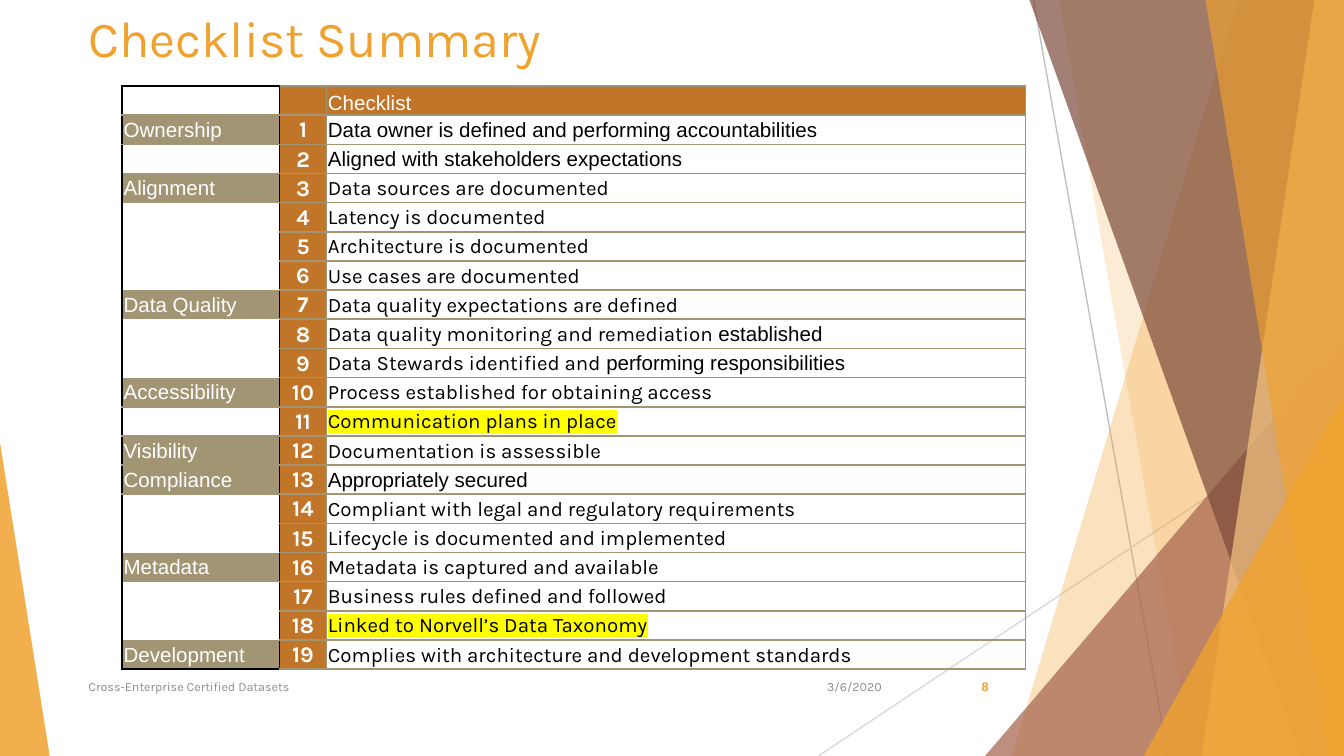
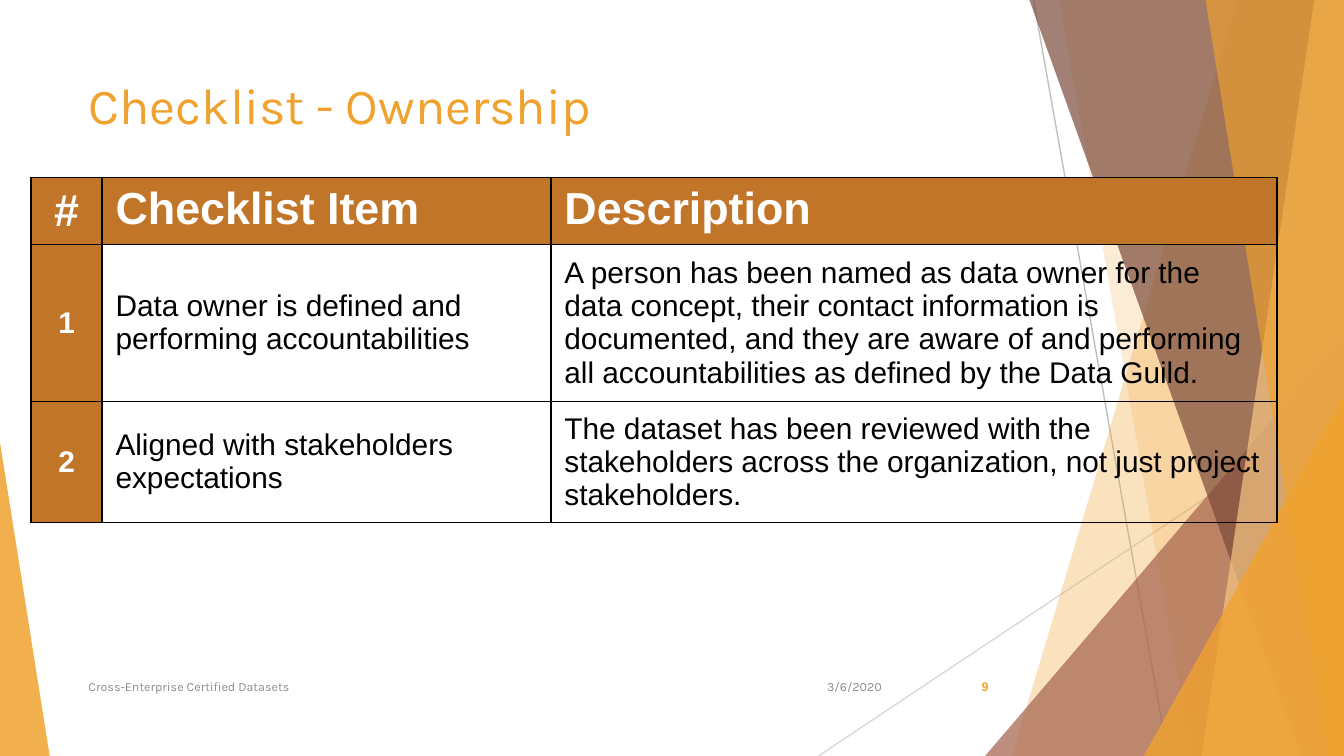
"""Build two checklist slides: the summary table and the ownership detail."""
from dataclasses import dataclass
from typing import Any, Optional

import lxml.etree
import pptx
import pptx.dml.color
import pptx.enum.shapes
import pptx.enum.text
import pptx.oxml.ns
import pptx.util

Inches = pptx.util.Inches
ALIGN = pptx.enum.text.PP_ALIGN
ANCHOR = pptx.enum.text.MSO_ANCHOR

WIDTH = 10
HEIGHT = WIDTH * 9 / 16
AMBER, SAND, RUST, BROWN = "F0A22E", "F6C782", "A5644E", "7C4B3B"
ORANGE, TAUPE, GREY = "C17529", "A19574", "8C8C8C"
BLACK, WHITE, YELLOW = "000000", "FFFFFF", "FFFF00"
HEADING, BODY = "Karla", "Arial"
NO_GRID = "{2D5ABB26-0587-4C30-8999-92F81FD0307C}"


@dataclass(frozen=True)
class Ray:
    start: tuple[float, float]
    end: tuple[float, float]
    color: str


@dataclass(frozen=True)
class Band:
    top_x: float
    bottom_x: float
    color: str
    alpha: int


@dataclass(frozen=True)
class Wedge:
    left: float
    top: float
    width: float
    apex: float
    color: str
    alpha: int


@dataclass(frozen=True)
class Check:
    item: str
    category: str = ""
    marked: bool = False


RAYS = [Ray((7.69, 0), (8.69, HEIGHT), "BFBFBF"), Ray((10, 3.02), (6.09, HEIGHT), "D9D9D9")]
FACETS = [
    Band(9.21, 7.53, AMBER, 30),
    Band(7.88, 8.87, AMBER, 20),
    Wedge(7.33, 2.5, 2.67, 1, RUST, 72),
    Band(7.66, 9.68, BROWN, 70),
    Band(9.78, 8.94, SAND, 70),
    Band(8.97, 9.88, AMBER, 65),
    Wedge(8.51, 2.94, 1.49, 1, AMBER, 80),
    Wedge(0, 3.29, 0.37, 0, AMBER, 85),
]

CHECKS = [
    Check("|Data owner is defined and performing accountabilities", "Ownership"),
    Check("|Aligned with stakeholders expectations"),
    Check("Data sources are documented", "Alignment"),
    Check("Latency is documented"),
    Check("Architecture is documented"),
    Check("Use cases are documented"),
    Check("Data quality expectations are defined", "Data Quality"),
    Check("Data quality monitoring and remediation |established"),
    Check("Data Stewards identified and |performing responsibilities"),
    Check("Process established for obtaining access", "Accessibility"),
    Check("Communication plans in place", marked=True),
    Check("Documentation is assessible", "Visibility"),
    Check("|Appropriately secured", "Compliance"),
    Check("Compliant with legal and regulatory requirements"),
    Check("Lifecycle is documented and implemented"),
    Check("Metadata is captured and available", "Metadata"),
    Check("Business rules defined and followed"),
    Check("Linked to Norvell’s Data Taxonomy", marked=True),
    Check("Complies with architecture and development standards", "Development"),
]
RULED_ROWS = {1, 11, 12, 13}

OWNERSHIP = [
    ("#", "Checklist Item", "Description"),
    ("1", "Data owner is defined and performing accountabilities",
     "A person has been named as data owner for the data concept, their contact information is "
     "documented, and they are aware of and performing all accountabilities as defined by the "
     "Data Guild."),
    ("2", "Aligned with stakeholders expectations",
     "The dataset has been reviewed with the stakeholders across the organization, not just "
     "project stakeholders."),
]


def rgb(value: str) -> pptx.dml.color.RGBColor:
    return pptx.dml.color.RGBColor.from_string(value)


def sub(parent: Any, tag: str, **attrs: str) -> Any:
    return lxml.etree.SubElement(parent, pptx.oxml.ns.qn(tag), attrs)


def write(tf: Any, text: str, *, size: float, font: str = BODY, color: str = BLACK,
          bold: bool = False, align: Any = ALIGN.LEFT, mark: Optional[str] = None) -> None:
    p = tf.paragraphs[0]
    p.alignment = align
    if not text:
        p._p.get_or_add_endParaRPr().set("sz", str(int(size * 100)))
    for piece, name in zip(text.split("|"), (font, BODY)):
        if not piece:
            continue
        r = p.add_run()
        r.text = piece
        r.font.size, r.font.name, r.font.bold = pptx.util.Pt(size), name, bold
        r.font.color.rgb = rgb(color)
        if mark:
            rpr = r.font._element
            highlight = sub(rpr, "a:highlight")
            sub(highlight, "a:srgbClr", val=mark)
            rpr.find(pptx.oxml.ns.qn("a:solidFill")).addnext(highlight)


def add_text(s: Any, box: tuple[float, float, float, float], text: str,
             anchor: Any = ANCHOR.MIDDLE, **style: Any) -> None:
    tf = s.shapes.add_textbox(*map(Inches, box)).text_frame
    tf.word_wrap = True
    tf.vertical_anchor = anchor
    write(tf, text, **style)


def add_ray(s: Any, ray: Ray) -> None:
    line = s.shapes.add_connector(pptx.enum.shapes.MSO_CONNECTOR.STRAIGHT,
                                  *map(Inches, ray.start + ray.end))
    line.line.color.rgb = rgb(ray.color)
    line.line.width = pptx.util.Pt(0.75)
    sub(line._element.spPr, "a:effectLst")


def add_facet(s: Any, facet: Band | Wedge) -> None:
    if isinstance(facet, Band):
        corners = [(WIDTH, 0), (WIDTH, HEIGHT), (facet.bottom_x, HEIGHT)]
        outline = s.shapes.build_freeform(Inches(facet.top_x), 0)
        outline.add_line_segments([(Inches(x), Inches(y)) for x, y in corners], close=True)
        sp = outline.convert_to_shape()
    else:
        box = (facet.left, facet.top, facet.width, HEIGHT - facet.top)
        sp = s.shapes.add_shape(pptx.enum.shapes.MSO_SHAPE.ISOSCELES_TRIANGLE, *map(Inches, box))
        sp.adjustments[0] = facet.apex
    sp.shadow.inherit = False
    sp.line.fill.background()
    sp.fill.solid()
    sp.fill.fore_color.rgb = rgb(facet.color)
    color = sp._element.spPr.find(".//" + pptx.oxml.ns.qn("a:srgbClr"))
    sub(color, "a:alpha", val=str(facet.alpha * 1000))


def add_slide(prs: Any, title: str, top: float, width: float, number: int) -> Any:
    s = prs.slides.add_slide(prs.slide_layouts[6])
    for ray in RAYS:
        add_ray(s, ray)
    for facet in FACETS:
        add_facet(s, facet)
    add_text(s, (0.56, top, width, 1.08), title, ANCHOR.TOP, size=27, font=HEADING, color=AMBER)
    small = dict(size=6.75, font=HEADING, color=GREY)
    add_text(s, (0.56, 4.96, 5.17, 0.3), "Cross-Enterprise Certified Datasets", **small)
    add_text(s, (5.91, 4.96, 0.75, 0.3), "3/6/2020", align=ALIGN.RIGHT, **small)
    add_text(s, (7.05, 4.96, 0.56, 0.3), str(number), size=6.75, color=AMBER, bold=True,
             align=ALIGN.CENTER)
    return s


def add_table(s: Any, left: float, top: float, height: float, cols: list[float],
              rows: list[float]) -> Any:
    box = (left, top, sum(cols), height)
    frame = s.shapes.add_table(len(rows), len(cols), *map(Inches, box))
    table = frame.table
    table.first_row = table.horz_banding = False
    table._tbl.tblPr.find(pptx.oxml.ns.qn("a:tableStyleId")).text = NO_GRID
    for col, col_width in zip(table.columns, cols):
        col.width = Inches(col_width)
    for row, row_height in zip(table.rows, rows):
        row.height = Inches(row_height)
    frame.height = Inches(height)
    return table


def fill_cell(cell: Any, text: str, borders: dict[str, str], *, fill: Optional[str] = None,
              anchor: Any = ANCHOR.MIDDLE, tight: bool = False, **style: Any) -> None:
    cell.vertical_anchor = anchor
    if tight:
        cell.margin_left = cell.margin_right = cell.margin_top = Inches(0.01)
        cell.margin_bottom = 0
    write(cell.text_frame, text, **style)
    tcpr = cell._tc.get_or_add_tcPr()
    for side in "LRTB":
        if side in borders:
            line = sub(tcpr, f"a:ln{side}", w=str(pptx.util.Pt(1)))
            sub(sub(line, "a:solidFill"), "a:srgbClr", val=borders[side])
    if fill:
        cell.fill.solid()
        cell.fill.fore_color.rgb = rgb(fill)
    else:
        cell.fill.background()


def category_borders(row: int) -> dict[str, str]:
    borders = {"L": BLACK, "R": BLACK}
    if row in RULED_ROWS:
        borders["T"] = TAUPE
    if row + 1 in RULED_ROWS:
        borders["B"] = TAUPE
    if row == 0:
        borders["T"] = BLACK
    if row == len(CHECKS):
        borders["B"] = BLACK
    return borders


def build_summary(prs: Any) -> None:
    s = add_slide(prs, "Checklist Summary", 0, 9.44, 8)
    count, height = len(CHECKS) + 1, 4.34
    table = add_table(s, 0.91, 0.64, height, [1.17, 0.35, 5.2], [height / count] * count)
    grid = dict.fromkeys("LRTB", TAUPE)
    number_grid = grid | {"L": BLACK}
    label = dict(size=11, color=WHITE, tight=True)
    fill_cell(table.cell(0, 0), "", category_borders(0), fill=WHITE, **label)
    fill_cell(table.cell(0, 1), "", number_grid, fill=ORANGE, **label)
    fill_cell(table.cell(0, 2), "Checklist", grid, fill=ORANGE, anchor=ANCHOR.BOTTOM, **label)
    for row, check in enumerate(CHECKS, 1):
        fill_cell(table.cell(row, 0), check.category, category_borders(row),
                  fill=TAUPE if check.category else None, **label)
        fill_cell(table.cell(row, 1), str(row), number_grid, fill=ORANGE, size=12, font=HEADING,
                  color=WHITE, bold=True, align=ALIGN.CENTER, tight=True)
        fill_cell(table.cell(row, 2), check.item, grid, size=11, font=HEADING, tight=True,
                  mark=YELLOW if check.marked else None)


def build_ownership(prs: Any) -> None:
    s = add_slide(prs, "Checklist - Ownership", 0.5, 7.05, 9)
    table = add_table(s, 0.23, 1.32, 2.52, [0.53, 3.34, 5.4], [0.45, 0.68, 0.68])
    grid = dict.fromkeys("LRTB", BLACK)
    for row, texts in enumerate(OWNERSHIP):
        for col, text in enumerate(texts):
            strong = row == 0 or col == 0
            fill_cell(table.cell(row, col), text, grid, fill=ORANGE if strong else None,
                      anchor=ANCHOR.TOP if row == 0 and col else ANCHOR.MIDDLE,
                      size=16 if row else 24, color=WHITE if strong else BLACK, bold=strong,
                      align=ALIGN.LEFT if col else ALIGN.CENTER)


def main() -> None:
    prs = pptx.Presentation()
    prs.slide_width, prs.slide_height = Inches(WIDTH), Inches(HEIGHT)
    build_summary(prs)
    build_ownership(prs)
    prs.save("out.pptx")


if __name__ == "__main__":
    main()
